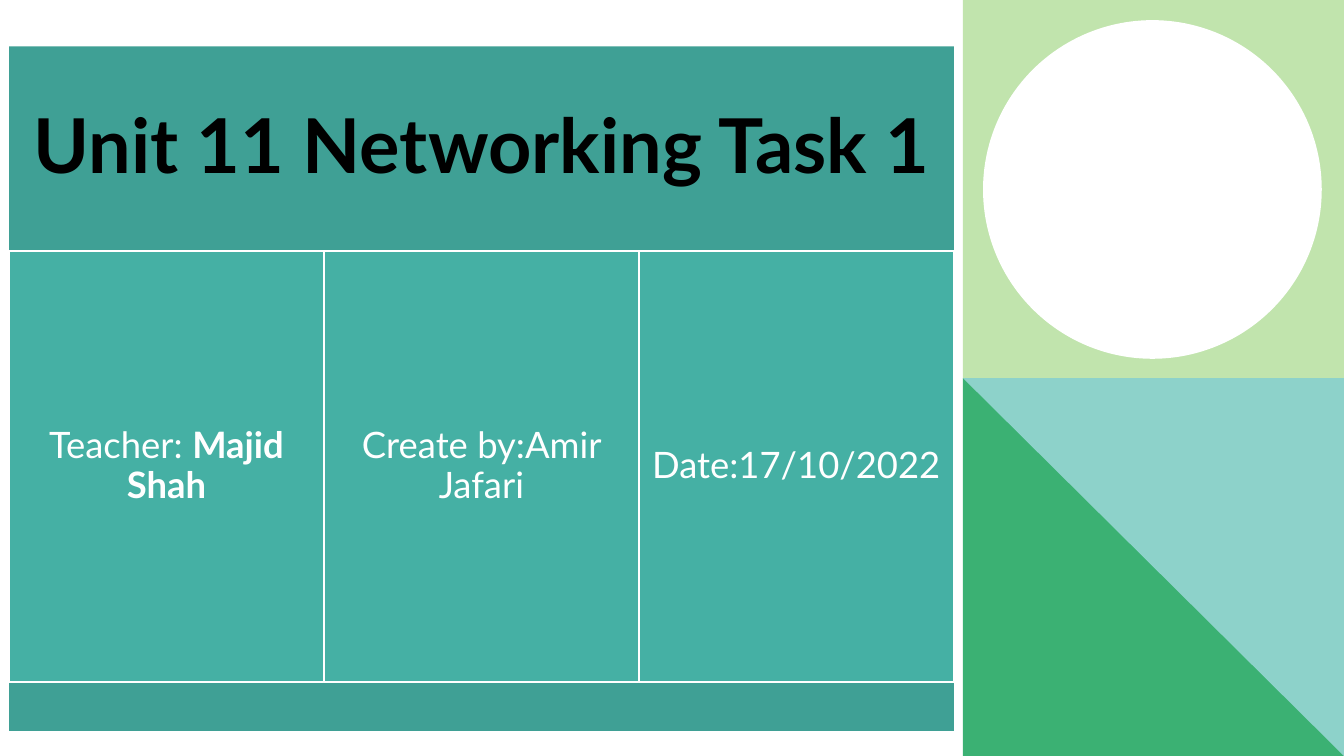
"""Build the title slide of a networking assignment."""
from dataclasses import dataclass

from pptx import Presentation
from pptx.dml.color import RGBColor
from pptx.enum.shapes import MSO_SHAPE
from pptx.enum.text import MSO_ANCHOR, MSO_AUTO_SIZE, PP_ALIGN
from pptx.util import Inches, Pt

RECTANGLE, OVAL = MSO_SHAPE.RECTANGLE, MSO_SHAPE.OVAL
MIDDLE, CENTER, NO_FIT = MSO_ANCHOR.MIDDLE, PP_ALIGN.CENTER, MSO_AUTO_SIZE.NONE

BLACK = RGBColor(0x00, 0x00, 0x00)
WHITE = RGBColor(0xFF, 0xFF, 0xFF)
TEAL = RGBColor(0x45, 0xB0, 0xA4)
DARK_TEAL = RGBColor(0x3F, 0xA0, 0x95)
GREEN = RGBColor(0x3B, 0xB1, 0x73)
LIGHT_GREEN = RGBColor(0xC1, 0xE4, 0xAD)
AQUA = RGBColor(0x8D, 0xD2, 0xCA)

FONT = "Lato"
SLIDE_WIDTH, SLIDE_HEIGHT = 13.33, 7.5
HALF = SLIDE_HEIGHT / 2
SIDE_LEFT = 9.55
SIDE_WIDTH = SLIDE_WIDTH - SIDE_LEFT
CIRCLE = 3.36
TABLE_LEFT, TABLE_WIDTH = 0.09, 9.37
TITLE_TOP, CARD_TOP, FOOTER_TOP, TABLE_BOTTOM = 0.46, 2.49, 6.77, 7.25
TITLE_ONLY = 5


@dataclass(frozen=True)
class Area:
    """Place and size in inches."""
    left: float
    top: float
    width: float
    height: float

    def lengths(self) -> list:
        """Return left, top, width and height as lengths."""
        return [Inches(value) for value in (self.left, self.top, self.width, self.height)]


@dataclass(frozen=True)
class Span:
    """A piece of text with one weight."""
    text: str
    bold: bool = False


@dataclass(frozen=True)
class Block:
    """A filled shape without text."""
    area: Area
    color: RGBColor
    kind: MSO_SHAPE = RECTANGLE


BLOCKS = (
    Block(Area(SIDE_LEFT, HALF, SIDE_WIDTH, HALF), GREEN),
    Block(Area(SIDE_LEFT, 0, SIDE_WIDTH, HALF), LIGHT_GREEN),
    Block(Area(9.75, 0.2, CIRCLE, CIRCLE), WHITE, OVAL),
    Block(Area(TABLE_LEFT, FOOTER_TOP, TABLE_WIDTH, TABLE_BOTTOM - FOOTER_TOP), DARK_TEAL),
)
TITLE = (Span("Unit 11 Networking Task 1", True),)
CARDS = (
    (Span("Teacher: "), Span("Majid Shah", True)),
    (Span("Create by:Amir Jafari"),),
    (Span("Date:17/10/2022"),),
)


def paint(shape, color: RGBColor) -> None:
    """Give a shape a plain fill with no line or shadow."""
    shape.shadow.inherit = False
    shape.fill.solid()
    shape.fill.fore_color.rgb = color
    shape.line.fill.background()


def add_block(page, block: Block):
    """Draw one plain block."""
    shape = page.shapes.add_shape(block.kind, *block.area.lengths())
    paint(shape, block.color)
    return shape


def add_triangle(page) -> None:
    """Draw the upper right half of the lower side panel."""
    left, right = Inches(SIDE_LEFT), Inches(SLIDE_WIDTH)
    top, bottom = Inches(HALF), Inches(SLIDE_HEIGHT)
    builder = page.shapes.build_freeform(left, top)
    builder.add_line_segments([(right, top), (right, bottom)], close=True)
    paint(builder.convert_to_shape(), AQUA)


def write(box, spans: tuple[Span, ...], size: float, color: RGBColor, inset: float) -> None:
    """Fill a box with one centred paragraph."""
    frame = box.text_frame
    frame.word_wrap = True
    frame.auto_size = NO_FIT
    frame.vertical_anchor = MIDDLE
    frame.margin_left = frame.margin_right = Inches(inset)
    frame.margin_top = frame.margin_bottom = Inches(inset)
    para = frame.paragraphs[0]
    para.alignment = CENTER
    para.line_spacing = 0.9
    for span in spans:
        run = para.add_run()
        run.text = span.text
        run.font.name = FONT
        run.font.size = Pt(size)
        run.font.bold = span.bold
        run.font.color.rgb = color


def add_title(page) -> None:
    """Place the title in its placeholder."""
    title = page.shapes.title
    area = Area(TABLE_LEFT, TITLE_TOP, TABLE_WIDTH, CARD_TOP - TITLE_TOP)
    title.left, title.top, title.width, title.height = area.lengths()
    title.fill.solid()
    title.fill.fore_color.rgb = DARK_TEAL
    write(title, TITLE, 54, BLACK, 0.23)


def add_cards(page) -> None:
    """Draw the detail cards in equal columns."""
    width = TABLE_WIDTH / len(CARDS)
    for column, spans in enumerate(CARDS):
        area = Area(TABLE_LEFT + column * width, CARD_TOP, width, FOOTER_TOP - CARD_TOP)
        card = add_block(page, Block(area, TEAL))
        card.line.color.rgb = WHITE
        card.line.width = Pt(1.5)
        write(card, spans, 26, WHITE, 0.11)


def main() -> None:
    """Build and save the deck."""
    deck = Presentation()
    deck.slide_width, deck.slide_height = Inches(SLIDE_WIDTH), Inches(SLIDE_HEIGHT)
    page = deck.slides.add_slide(deck.slide_layouts[TITLE_ONLY])
    add_title(page)
    for block in BLOCKS:
        add_block(page, block)
    add_triangle(page)
    add_cards(page)
    deck.save("out.pptx")


if __name__ == "__main__":
    main()
